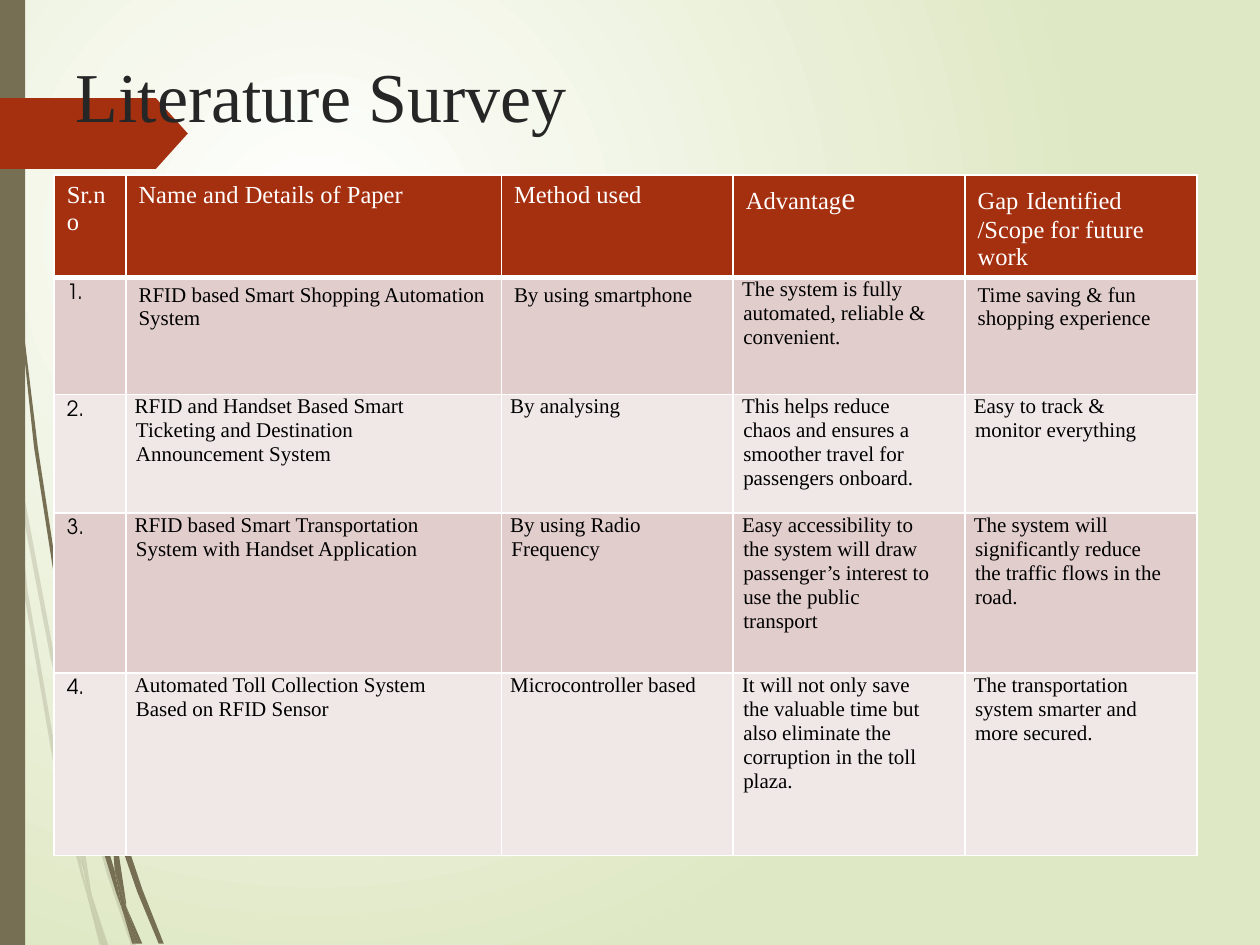
from lxml import etree
from pptx import Presentation
from pptx.dml.color import RGBColor
from pptx.enum.shapes import MSO_SHAPE
from pptx.enum.text import MSO_ANCHOR
from pptx.oxml.ns import qn
from pptx.util import Inches, Pt

RECT, ARROW, TOP = MSO_SHAPE.RECTANGLE, MSO_SHAPE.PENTAGON, MSO_ANCHOR.TOP
WHITE = RGBColor(0xFF, 0xFF, 0xFF)
BLACK = RGBColor(0, 0, 0)
GREEN = RGBColor(0xDF, 0xE8, 0xC4)
OLIVE = RGBColor(0x76, 0x6F, 0x54)
RUST = RGBColor(0xA5, 0x30, 0x10)
INK = RGBColor(0x26, 0x26, 0x26)
BANDS = (RGBColor(0xE1, 0xCD, 0xCC), RGBColor(0xF0, 0xE8, 0xE7))
SERIF, SANS = "Times New Roman", "TeX Gyre Adventor"

COLS = (0.57, 2.98, 1.84, 1.84, 1.84)
ROWS = (0.81, 0.93, 0.94, 1.27, 1.45)
HEAD = (
    [("Sr.no", 14)],
    [("Name and Details of Paper", 14)],
    [("Method used", 14)],
    [("Advantag", 14), ("e", 18)],
    [("Gap", 14), (" ", 18), ("Identified /Scope for future work", 14)],
)
PAPERS = (
    ("1.", "RFID based Smart Shopping Automation System", "By using smartphone",
     "The system is fully automated, reliable & convenient.",
     "Time saving & fun shopping experience"),
    ("2.", "RFID and Handset Based Smart Ticketing and Destination Announcement System",
     "By analysing",
     "This helps reduce chaos and ensures a smoother travel for passengers onboard.",
     "Easy to track & monitor everything"),
    ("3.", "RFID based Smart Transportation System with Handset Application",
     "By using Radio Frequency",
     "Easy accessibility to the system will draw passenger’s interest to use the public transport",
     "The system will significantly reduce the traffic flows in the road."),
    ("4.", "Automated Toll Collection System Based on RFID Sensor",
     "Microcontroller based",
     "It will not only save the valuable time but also eliminate the corruption in the toll plaza.",
     "The transportation system smarter and more secured."),
)
PALE = (
    [(0.4, 5.22), (0.59, 5.99), (0.59, 5.86), (0.43, 5.2), (0.1, 3.45), (0.12, 3.76)],
    [(0.64, 6.07), (0.61, 5.96), (0.61, 6.1), (0.85, 6.94), (1.04, 7.5), (1.08, 7.5),
     (0.88, 6.92)],
    [(0.83, 7.5), (0.86, 7.5), (0.73, 7.11)],
    [(0.64, 6.83), (0.48, 6.19), (0.22, 4.69), (0.12, 3.76), (0.08, 3.5), (0.19, 4.7),
     (0.45, 6.21), (0.64, 6.93), (0.7, 7.14), (0.69, 7.07)],
    [(0.58, 5.99), (0.6, 6.46), (0.64, 6.83), (0.67, 6.92), (0.73, 7.11), (0.72, 7.06),
     (0.63, 6.46), (0.61, 6.1), (0.61, 6.08)],
    [(0.7, 7.14), (0.79, 7.5), (0.82, 7.5)],
    [(0.67, 6.92), (0.65, 6.83), (0.69, 7.07), (0.7, 7.14), (0.82, 7.5), (0.83, 7.5),
     (0.73, 7.11)],
)
DARK = (
    [(0.05, 1.1), (0.14, 2.33), (0.27, 3.55), (0.46, 4.77), (0.47, 4.81), (0.45, 4.57),
     (0.45, 4.53), (0.3, 3.55), (0.15, 2.32), (0.06, 1.09), (0.04, 0.48), (0.03, 0),
     (0.02, 0), (0.03, 0.48)],
    [(0.94, 6.49), (0.91, 6.41), (0.91, 6.56), (1.09, 7.08), (1.26, 7.49), (1.3, 7.49),
     (1.13, 7.06)],
    [(0.91, 6.91), (0.81, 6.57), (0.6, 5.56), (0.53, 5.05), (0.47, 4.77), (0.56, 5.57),
     (0.77, 6.59), (0.92, 7.08), (0.97, 7.22), (0.96, 7.17)],
    [(1.1, 7.49), (1.13, 7.49), (1, 7.19)],
    [(0.97, 7.22), (1.05, 7.49), (1.08, 7.49)],
    [(0.88, 6.45), (0.91, 6.91), (0.96, 7.06), (1, 7.19), (1, 7.16), (0.91, 6.56),
     (0.9, 6.51)],
    [(0.96, 7.06), (0.91, 6.91), (0.96, 7.17), (0.97, 7.22), (1.08, 7.49), (1.1, 7.49),
     (1, 7.19)],
)


def paint(shape, color, alpha=100):
    """Give a shape a plain fill with no line or shadow."""
    shape.shadow.inherit = False
    shape.line.fill.background()
    shape.fill.solid()
    shape.fill.fore_color.rgb = color
    if alpha < 100:
        tint = shape.fill._xPr.find(".//" + qn("a:srgbClr"))
        etree.SubElement(tint, qn("a:alpha")).set("val", str(alpha * 1000))


def back(slide):
    """Fill the background with a round gradient."""
    fill = slide.background.fill
    fill.gradient()
    for stop, color, place in zip(fill.gradient_stops, (WHITE, GREEN), (0, 1)):
        stop.color.rgb = color
        stop.position = place
    line = slide.element.find(".//" + qn("a:lin"))
    ring = etree.Element(qn("a:path"))
    ring.set("path", "circle")
    rect = etree.SubElement(ring, qn("a:fillToRect"))
    for side, part in zip("ltrb", (50, 50, 100, 100)):
        rect.set(side, str(part * 1000))
    line.getparent().replace(line, ring)


def wisps(slide, left, top):
    """Draw the grass blades from the given corner."""
    for blades, alpha in ((PALE, 20), (DARK, 100)):
        for blade in blades:
            spots = [(Inches(left + x), Inches(top + y)) for x, y in blade]
            pen = slide.shapes.build_freeform(*spots[0])
            pen.add_line_segments(spots[1:])
            paint(pen.convert_to_shape(), OLIVE, alpha)


def trim(slide, left, top, height):
    """Draw the side bar and the arrow tab."""
    bar = slide.shapes.add_shape(RECT, Inches(left), Inches(top), Inches(0.2), Inches(height))
    paint(bar, OLIVE)
    tab = slide.shapes.add_shape(
        ARROW, Inches(left), Inches(top + 0.78), Inches(1.49), Inches(0.56))
    tab.adjustments[0] = 0.45
    paint(tab, RUST)


def title(slide, left, top, width, height):
    """Place and format the title."""
    box = slide.shapes.title
    box.left, box.top = Inches(left), Inches(top)
    box.width, box.height = Inches(width), Inches(height)
    frame = box.text_frame
    frame.text = "Literature Survey"
    frame.vertical_anchor = TOP
    frame.margin_top = Inches(0.12)
    para = frame.paragraphs[0]
    para.alignment = 1
    style(para.runs[0], 40, SERIF, INK)


def style(run, size, face, color):
    """Format one run."""
    run.font.size = Pt(size)
    run.font.name = face
    run.font.bold = False
    run.font.color.rgb = color


def dress(cell, color, base):
    """Set the borders and the fill of a cell."""
    props = cell._tc.get_or_add_tcPr()
    for side, width in (("L", 1), ("R", 1), ("T", 1), ("B", base)):
        line = etree.SubElement(props, qn("a:ln" + side))
        line.set("w", str(Pt(width)))
        solid = etree.SubElement(line, qn("a:solidFill"))
        etree.SubElement(solid, qn("a:srgbClr")).set("val", str(WHITE))
    cell.fill.solid()
    cell.fill.fore_color.rgb = color


def inset(cell):
    """Set the tight margins, indent and tab of a detail cell."""
    cell.margin_left = cell.margin_right = Inches(0.07)
    cell.margin_top = cell.margin_bottom = 0
    para = cell.text_frame.paragraphs[0]
    props = para._p.get_or_add_pPr()
    for key, size in (("marL", 0.01), ("marR", 0.18), ("indent", -0.01)):
        props.set(key, str(Inches(size)))
    tabs = etree.SubElement(props, qn("a:tabLst"))
    tab = etree.SubElement(tabs, qn("a:tab"))
    tab.set("pos", str(Inches(0.78)))
    tab.set("algn", "l")
    para.line_spacing = 1.03
    para.space_after = Pt(0.3)


def survey(slide, left, top):
    """Build the table of papers."""
    grid = slide.shapes.add_table(
        len(ROWS), len(COLS), Inches(left), Inches(top),
        Inches(sum(COLS)), Inches(sum(ROWS))).table
    for col, width in zip(grid.columns, COLS):
        col.width = Inches(width)
    for row, height in zip(grid.rows, ROWS):
        row.height = Inches(height)
    for c, parts in enumerate(HEAD):
        cell = grid.cell(0, c)
        dress(cell, RUST, 3)
        for words, size in parts:
            run = cell.text_frame.paragraphs[0].add_run()
            run.text = words
            style(run, size, SERIF, WHITE)
    for r, paper in enumerate(PAPERS):
        for c, words in enumerate(paper):
            cell = grid.cell(r + 1, c)
            dress(cell, BANDS[r % 2], 1)
            cell.text_frame.text = words
            if c == 3 or (r and c):
                inset(cell)
            style(cell.text_frame.paragraphs[0].runs[0], 12, SERIF if c else SANS, BLACK)


def main():
    """Build and save the slide."""
    deck = Presentation()
    deck.slide_width, deck.slide_height = Inches(10), Inches(7.5)
    slide = deck.slides.add_slide(deck.slide_layouts[5])
    back(slide)
    wisps(slide, 0, 0)
    trim(slide, 0, 0, 7.5)
    head = slide.shapes.title._element
    head.getparent().append(head)
    title(slide, 0.5, 0.3, 9, 1.01)
    survey(slide, 0.43, 1.39)
    deck.save("out.pptx")


if __name__ == "__main__":
    main()
